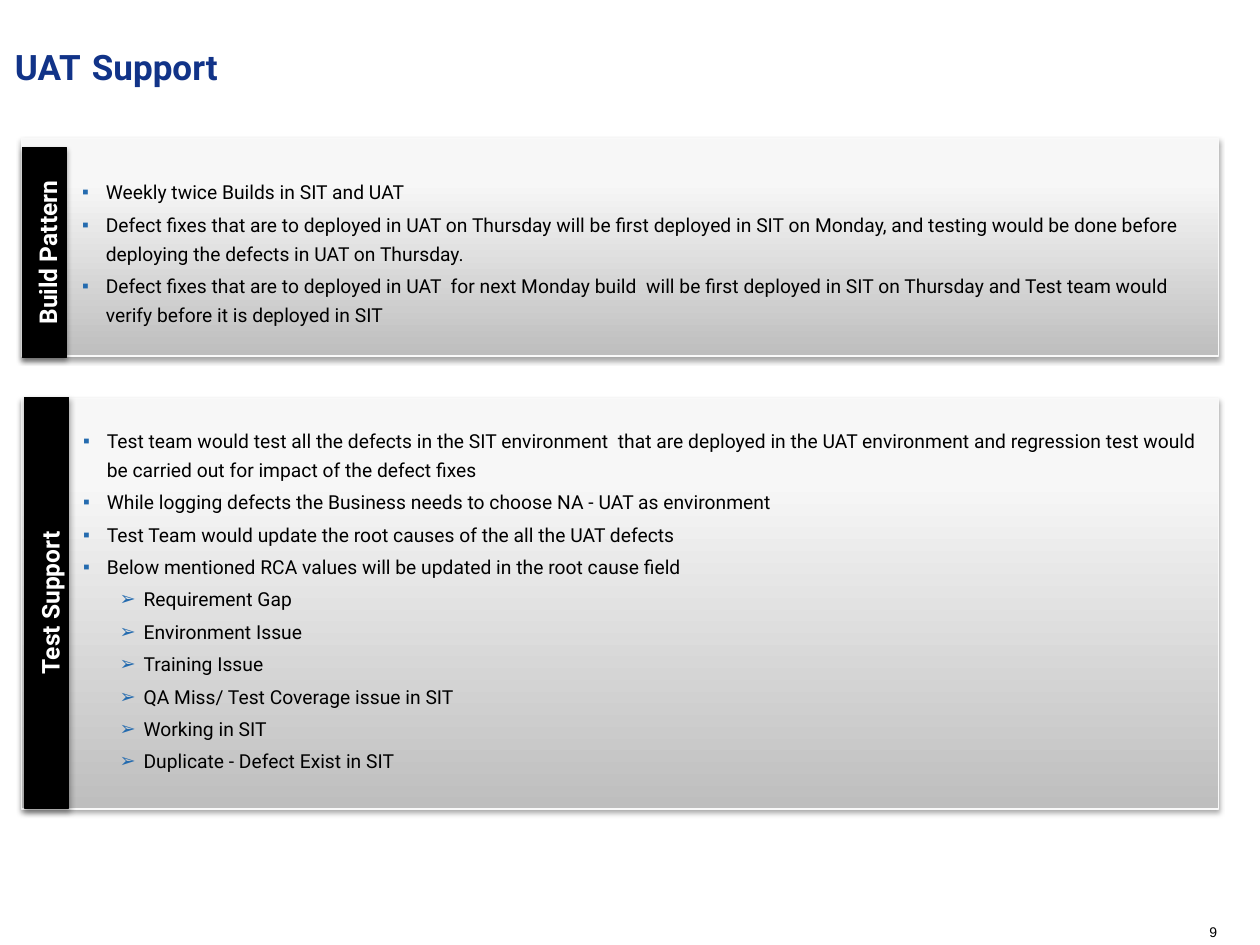
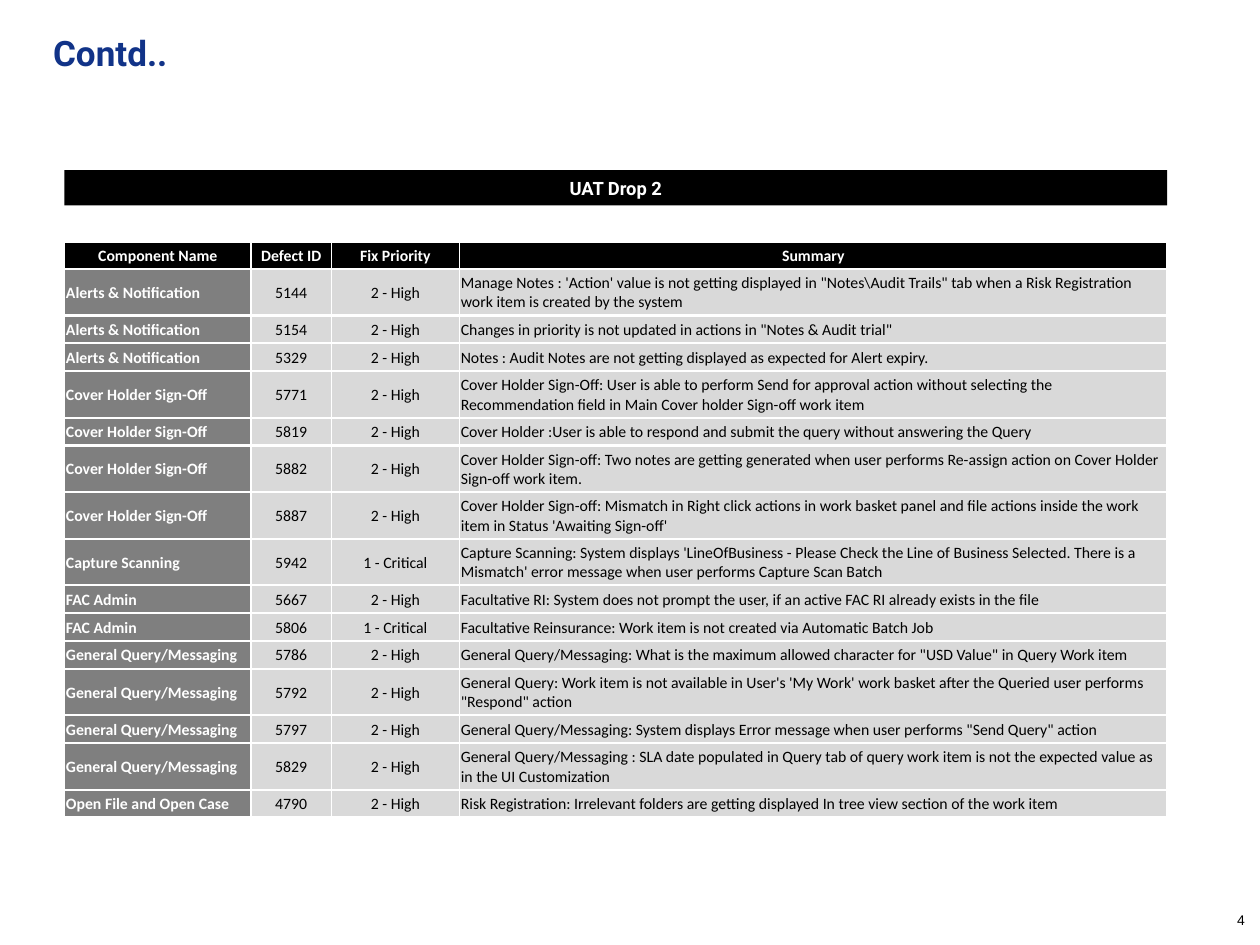
from dataclasses import dataclass

from lxml import etree
from pptx import Presentation
from pptx import util as u
from pptx.dml.color import RGBColor
from pptx.enum import shapes, text
from pptx.oxml.ns import qn

Cm, Pt = u.Cm, u.Pt
LEFT, MID = text.PP_ALIGN.LEFT, text.PP_ALIGN.CENTER


@dataclass(frozen=True)
class Theme:
    navy: str = "113388"
    blue: str = "246BAF"
    black: str = "000000"
    white: str = "FFFFFF"
    dark: str = "7F7F7F"
    light: str = "D9D9D9"
    shade: str = "BEBEBE"
    pale: str = "F7F7F7"
    edge: str = "F9F9F9"

    @property
    def fonts(self):
        """Format values for each role of text."""
        def look(name, size, color, bold=False):
            return {"name": name, "size": Pt(size), "bold": bold, "color": color}

        return {
            "title": look("Roboto", 20, self.navy, True),
            "gap": look("Calibri", 28, self.navy, True),
            "list": look("Roboto", 11, self.black),
            "tab": look("Roboto", 14, self.white, True),
            "band": look("Roboto", 10.5, self.white, True),
            "head": look("Calibri", 9, self.white, True),
            "cell": look("Calibri", 9, self.black),
            "page": look("Arial", 8, self.black),
        }


def apply(item, values):
    for key, value in values.items():
        setattr(item, key, value)


def node(parent, tag, **attrs):
    return etree.SubElement(parent, qn(tag), attrs)


def place(shape, box):
    apply(shape, dict(zip(("left", "top", "width", "height"), map(Cm, box))))


class Deck:
    def __init__(self, theme):
        self.theme = theme
        self.fonts = theme.fonts
        self.prs = Presentation()
        apply(self.prs, {"slide_width": Cm(25.4), "slide_height": Cm(19.05)})

    def start(self, layout):
        self.slide = self.prs.slides.add_slide(self.prs.slide_layouts[layout])

    def label(self, par, words, role, align=LEFT):
        par.alignment = align
        run = par.add_run()
        run.text = words
        style = dict(self.fonts[role])
        run.font.color.rgb = RGBColor.from_string(style.pop("color"))
        apply(run.font, style)

    def frame(self, shape, inset=None, anchor=text.MSO_ANCHOR.TOP):
        frame = shape.text_frame
        apply(frame, {"word_wrap": True, "auto_size": text.MSO_AUTO_SIZE.NONE,
                      "vertical_anchor": anchor})
        if inset is not None:
            sides = ("left", "top", "right", "bottom")
            apply(frame, {f"margin_{side}": Cm(inset) for side in sides})
        return frame

    def title(self, words, box):
        """Title whose words are set apart by a wider space."""
        shape = self.slide.shapes.title
        place(shape, box)
        par = self.frame(shape, 0).paragraphs[0]
        for i, word in enumerate(words.split()):
            if i:
                self.label(par, " ", "gap")
            self.label(par, word, "title")

    def page(self, number, left, top):
        shape = self.slide.shapes.add_textbox(0, 0, 0, 0)
        place(shape, (left, top, 0.44, 0.61))
        frame = self.frame(shape, 0, text.MSO_ANCHOR.MIDDLE)
        self.label(frame.paragraphs[0], number, "page", MID)

    def block(self, box, color=None, line=None, cast=False):
        """Rectangle in one colour, or in the grey gradient if none is given."""
        shape = self.slide.shapes.add_shape(shapes.MSO_SHAPE.RECTANGLE, 0, 0, 0, 0)
        place(shape, box)
        if color:
            shape.fill.solid()
            shape.fill.fore_color.rgb = RGBColor.from_string(color)
        else:
            shape.fill.gradient()
            shape.fill.gradient_angle = 90
            stops = zip(shape.fill.gradient_stops,
                        ((0, self.theme.shade), (0.8, self.theme.pale)))
            for stop, (spot, tone) in stops:
                stop.position = spot
                stop.color.rgb = RGBColor.from_string(tone)
        if line:
            shape.line.color.rgb = RGBColor.from_string(line)
            shape.line.width = Pt(0.75)
        else:
            shape.line.fill.background()
        shape.shadow.inherit = False
        if cast:
            effects = shape._element.spPr.find(qn("a:effectLst"))
            shadow = node(effects, "a:outerShdw", blurRad="40000", dist="23000",
                          dir="5400000", rotWithShape="0")
            tone = node(shadow, "a:srgbClr", val=self.theme.black)
            node(tone, "a:alpha", val="35000")
        return shape

    def tab(self, words, left, top, height, width=0.89):
        """Black label that reads upwards along the edge of a panel."""
        turn = (height - width) / 2
        box = (left - turn, top + turn, height, width)
        shape = self.block(box, self.theme.black, self.theme.black, True)
        shape.rotation = 270
        par = self.frame(shape).paragraphs[0]
        par.line_spacing = 1.14
        self.label(par, words, "tab", MID)

    def band(self, words, box):
        shape = self.block(box, self.theme.black)
        frame = self.frame(shape, 0, text.MSO_ANCHOR.MIDDLE)
        self.label(frame.paragraphs[0], words, "band", MID)

    def list(self, slot, box, items):
        """Fill a body placeholder; items are (level, words) pairs."""
        shape = self.slide.placeholders[slot]
        place(shape, box)
        self.slide.shapes._spTree.append(shape._element)
        frame = self.frame(shape)
        for i, (level, words) in enumerate(items):
            par = frame.add_paragraph() if i else frame.paragraphs[0]
            props = par._p.get_or_add_pPr()
            props.set("marL", str(Cm((0.48, 1.22)[level])))
            props.set("indent", str(-Cm(0.48)))
            node(node(props, "a:buClr"), "a:srgbClr", val=self.theme.blue)
            node(props, "a:buChar", char="▪➢"[level])
            apply(par, {"level": level, "line_spacing": 1.25,
                        "space_before": Pt(2 if i else 0)})
            self.label(par, words, "list")

    def cell(self, cell, words, fill, role, align):
        apply(cell, {"margin_left": Cm(0.03), "margin_right": Cm(0.03),
                     "margin_top": Cm(0.03), "margin_bottom": 0,
                     "vertical_anchor": text.MSO_ANCHOR.MIDDLE})
        props = cell._tc.get_or_add_tcPr()
        for side, width in (("L", 1), ("R", 1), ("T", 1.5), ("B", 1.5)):
            line = node(props, f"a:ln{side}", w=str(Pt(width)))
            node(node(line, "a:solidFill"), "a:srgbClr", val=self.theme.white)
        cell.fill.solid()
        cell.fill.fore_color.rgb = RGBColor.from_string(fill)
        self.label(cell.text_frame.paragraphs[0], words, role, align)

    def table(self, rows, box, widths):
        """First row is the head; a summary past 105 signs takes two lines."""
        shape = self.slide.shapes.add_table(len(rows), len(widths), *map(Cm, box))
        table = shape.table
        table.horz_banding = False
        for col, width in zip(table.columns, widths):
            col.width = Cm(width)
        look = self.theme
        for r, row in enumerate(rows):
            tall = len(row[-1]) > 105
            table.rows[r].height = Cm(0.94 if tall else 0.56 if r else 0.54)
            for c, words in enumerate(row):
                if r == 0:
                    style = look.black, "head", MID
                elif c == 0:
                    style = look.dark, "head", LEFT
                else:
                    style = look.light, "cell", LEFT if c == 3 else MID
                self.cell(table.cell(r, c), words, *style)


BUILDS = [(0, words) for words in (
    "Weekly twice Builds in SIT and UAT",
    "Defect fixes that are to deployed in UAT on Thursday will be first deployed in SIT on Monday, "
    "and testing would be done before deploying the defects in UAT on Thursday.",
    "Defect fixes that are to deployed in UAT  for next Monday build  will be first deployed in SIT "
    "on Thursday and Test team would verify before it is deployed in SIT",
)]
TESTS = [(0, words) for words in (
    "Test team would test all the defects in the SIT environment  that are deployed in the UAT "
    "environment and regression test would be carried out for impact of the defect fixes",
    "While logging defects the Business needs to choose NA - UAT as environment",
    "Test Team would update the root causes of the all the UAT defects",
    "Below mentioned RCA values will be updated in the root cause field",
)] + [(1, words) for words in (
    "Requirement Gap", "Environment Issue", "Training Issue",
    "QA Miss/ Test Coverage issue in SIT", "Working in SIT",
    "Duplicate - Defect Exist in SIT",
)]

HIGH, TOP = "2 - High", "1 - Critical"
ALERT, COVER, FAC = "Alerts & Notification", "Cover Holder Sign-Off", "FAC Admin"
QUERY = "General Query/Messaging"
DEFECTS = [
    ("Component Name", "Defect ID", "Fix Priority", "Summary"),
    (ALERT, "5144", HIGH, "Manage Notes : 'Action' value is not getting displayed in "
     "\"Notes\\Audit Trails\" tab when a Risk Registration work item is created by the system"),
    (ALERT, "5154", HIGH, 'Changes in priority is not updated in actions in "Notes & Audit trial"'),
    (ALERT, "5329", HIGH,
     "Notes : Audit Notes are not getting displayed as expected for Alert expiry."),
    (COVER, "5771", HIGH, "Cover Holder Sign-Off: User is able to perform Send for approval action "
     "without selecting the Recommendation field in Main Cover holder Sign-off work item"),
    (COVER, "5819", HIGH,
     "Cover Holder :User is able to respond and submit the query without answering the Query"),
    (COVER, "5882", HIGH, "Cover Holder Sign-off: Two notes are getting generated when user "
     "performs Re-assign action on Cover Holder Sign-off work item."),
    (COVER, "5887", HIGH, "Cover Holder Sign-off: Mismatch in Right click actions in work basket "
     "panel and file actions inside the work item in Status 'Awaiting Sign-off'"),
    ("Capture Scanning", "5942", TOP, "Capture Scanning: System displays 'LineOfBusiness - Please "
     "Check the Line of Business Selected. There is a Mismatch' error message when user performs "
     "Capture Scan Batch"),
    (FAC, "5667", HIGH, "Facultative RI: System does not prompt the user, if an active FAC RI "
     "already exists in the file"),
    (FAC, "5806", TOP,
     "Facultative Reinsurance: Work item is not created via Automatic Batch Job"),
    (QUERY, "5786", HIGH, "General Query/Messaging: What is the maximum allowed character for "
     '"USD Value" in Query Work item'),
    (QUERY, "5792", HIGH, "General Query: Work item is not available in User's 'My Work' work "
     'basket after the Queried user performs "Respond" action'),
    (QUERY, "5797", HIGH, "General Query/Messaging: System displays Error message when user "
     'performs "Send Query" action'),
    (QUERY, "5829", HIGH, "General Query/Messaging : SLA date populated in Query tab of query work "
     "item is not the expected value as in the UI Customization"),
    ("Open File and Open Case", "4790", HIGH, "Risk Registration: Irrelevant folders are getting "
     "displayed In tree view section of the work item"),
]


def support(deck):
    deck.start(3)
    deck.title("UAT Support", (0.3, 0.63, 14.8, 0.64))
    parts = (
        ("Build Pattern", (2.79, 4.39), (0.45, 2.97, 4.24), (1.4, 3.4, 22.73, 3.33), BUILDS),
        ("Test Support", (8.03, 8.28), (0.5, 8.01, 8.28), (1.42, 8.41, 23.16, 7.52), TESTS),
    )
    for slot, (name, (top, height), tab, body, items) in enumerate(parts, 1):
        deck.block((0.43, top, 24.13, height), line=deck.theme.edge, cast=True)
        deck.list(slot, body, items)
        deck.tab(name, *tab)
    deck.page("9", 24.24, 18.49)


def drop(deck):
    deck.start(5)
    deck.title("Contd..", (1.07, 0.63, 17.27, 1.27))
    deck.page("4", 24.8, 18.24)
    deck.band("UAT Drop 2", (1.3, 3.43, 22.23, 0.71))
    deck.table(DEFECTS, (1.3, 4.88, 22.23, 11.63), (3.76, 1.62, 2.58, 14.27))


def main():
    deck = Deck(Theme())
    support(deck)
    drop(deck)
    deck.prs.save("out.pptx")


if __name__ == "__main__":
    main()
